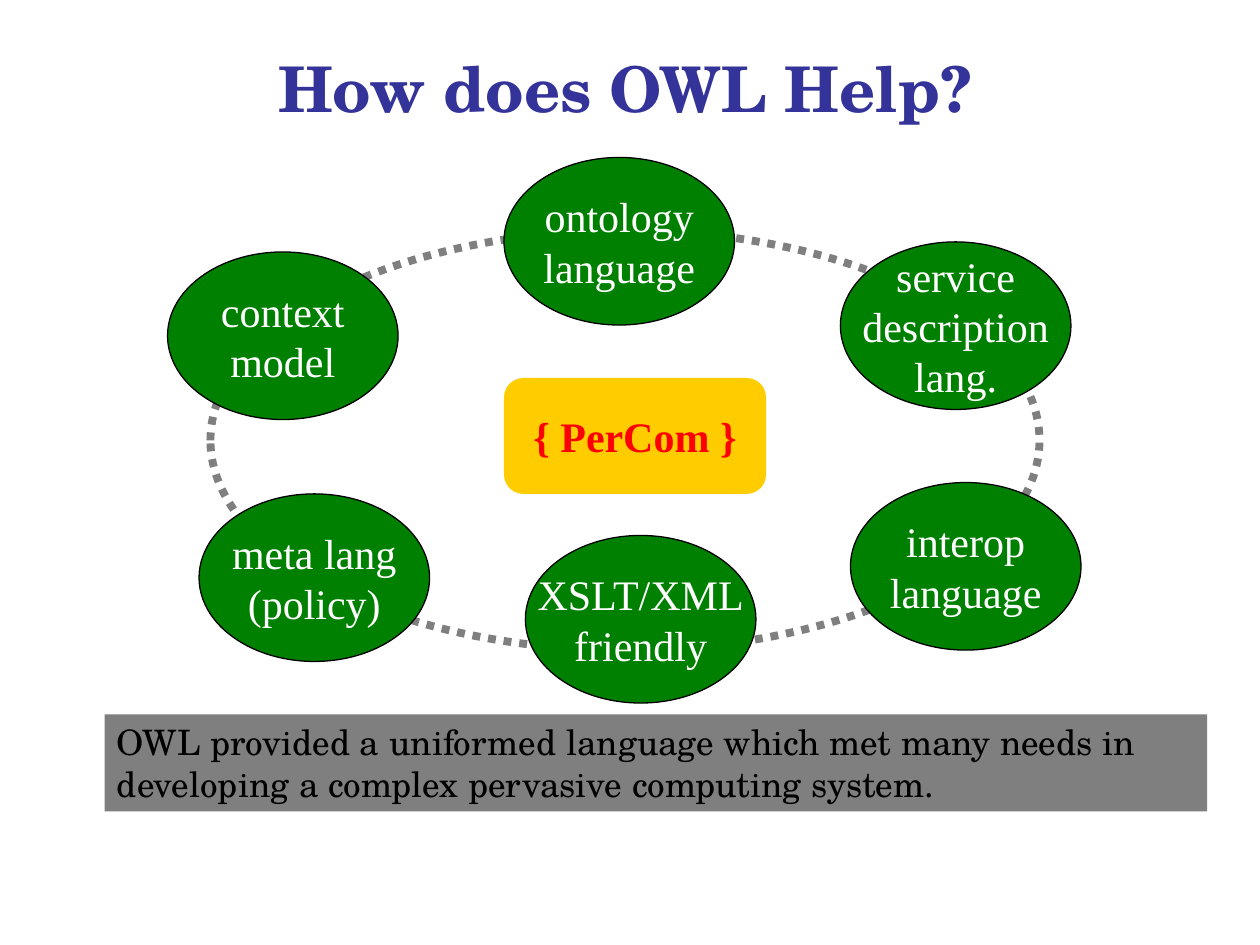
"""Build the "How does OWL Help?" slide: six language roles around PerCom."""
from typing import NamedTuple, Optional

from pptx import Presentation
from pptx.dml.color import RGBColor
from pptx.enum.dml import MSO_LINE
from pptx.enum.shapes import MSO_SHAPE as Shape
from pptx.enum.text import MSO_ANCHOR as Anchor, MSO_AUTO_SIZE as AutoSize, PP_ALIGN as Align
from pptx.util import Inches, Pt

SERIF = "Times New Roman"
SCHOLA = "TeX Gyre Schola"
NODE_W, NODE_H = 1.83, 1.33


class Style(NamedTuple):
    font: str
    size: float
    color: str
    bold: bool = False
    align: Align = Align.CENTER


class Node(NamedTuple):
    left: float
    top: float
    lines: tuple[str, ...]


TITLE = Style(SCHOLA, 36, "333399", bold=True)
NODE = Style(SERIF, 24, "FFFFFF")
CENTER = Style(SERIF, 24, "FF0000", bold=True)
SUMMARY = Style(SCHOLA, 20, "000000", align=Align.LEFT)

NODES = [
    Node(6.67, 1.92, ("service", "description", "lang.")),
    Node(1.33, 2, ("context", "model")),
    Node(6.75, 3.83, ("interop", "language")),
    Node(1.58, 3.92, ("meta lang", "(policy)")),
    Node(4.17, 4.25, ("XSLT/XML", "friendly")),
    Node(4, 1.25, ("ontology", "language")),
]


def rgb(value: str) -> RGBColor:
    return RGBColor.from_string(value)


def write(tf, lines: tuple[str, ...], style: Style, wrap: bool = False) -> None:
    tf.word_wrap = wrap
    tf.vertical_anchor = Anchor.MIDDLE
    for i, line in enumerate(lines):
        p = tf.paragraphs[0] if i == 0 else tf.add_paragraph()
        p.text = line
        p.alignment = style.align
        p.font.name = style.font
        p.font.size = Pt(style.size)
        p.font.bold = style.bold
        p.font.color.rgb = rgb(style.color)


def add_box(s, kind: Shape, left: float, top: float, width: float, height: float,
            fill: Optional[str] = None, line: Optional[str] = None, weight: float = 0.75):
    sp = s.shapes.add_shape(kind, Inches(left), Inches(top), Inches(width), Inches(height))
    sp.shadow.inherit = False
    if fill:
        sp.fill.solid()
        sp.fill.fore_color.rgb = rgb(fill)
    else:
        sp.fill.background()
    if line:
        sp.line.color.rgb = rgb(line)
        sp.line.width = Pt(weight)
    else:
        sp.line.fill.background()
    return sp


def add_node(s, node: Node) -> None:
    sp = add_box(s, Shape.OVAL, node.left, node.top, NODE_W, NODE_H, "008000", "000000")
    write(sp.text_frame, node.lines, NODE)


def main() -> None:
    prs = Presentation()
    prs.slide_width, prs.slide_height = Inches(10), Inches(7.5)
    s = prs.slides.add_slide(prs.slide_layouts[5])

    title = s.shapes.title
    title.left, title.top = Inches(0.97), Inches(0.31)
    title.width, title.height = Inches(7.98), Inches(0.77)
    write(title.text_frame, ("How does OWL Help?",), TITLE, wrap=True)

    ring = add_box(s, Shape.OVAL, 1.67, 1.83, 6.58, 3.33, line="7F7F7F", weight=4.5)
    ring.line.dash_style = MSO_LINE.ROUND_DOT

    for node in NODES:
        add_node(s, node)

    center = add_box(s, Shape.ROUNDED_RECTANGLE, 4, 3, 2.08, 0.92, "FFCC00")
    write(center.text_frame, ("{ PerCom }",), CENTER)

    summary = add_box(s, Shape.RECTANGLE, 0.83, 5.67, 8.75, 0.77, "7F7F7F")
    tf = summary.text_frame
    write(tf, ("OWL provided a uniformed language which met many needs in "
               "developing a complex pervasive computing system.",), SUMMARY, wrap=True)
    tf.vertical_anchor = Anchor.TOP
    tf.auto_size = AutoSize.SHAPE_TO_FIT_TEXT

    prs.save("out.pptx")


if __name__ == "__main__":
    main()
